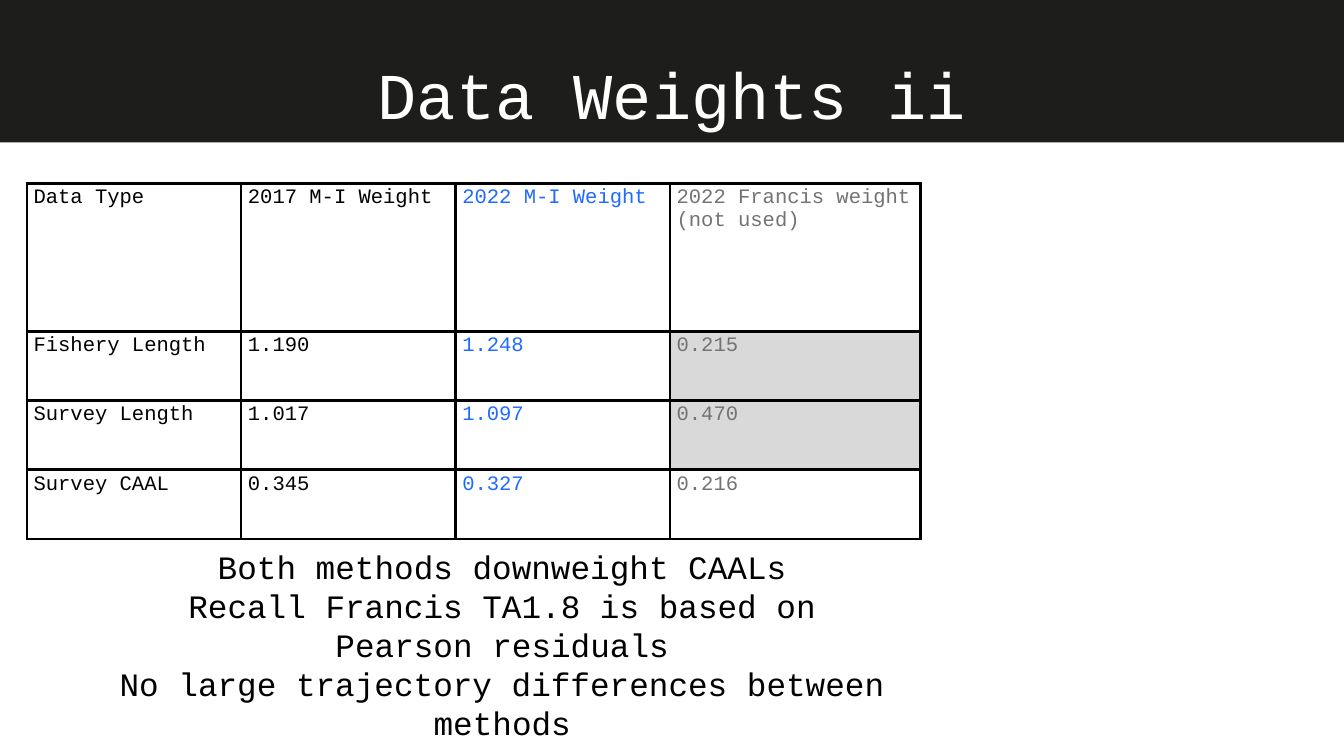
import pptx
import pptx.dml.color
import pptx.enum.shapes
import pptx.enum.text
import pptx.oxml
import pptx.oxml.ns
import pptx.util
from dataclasses import dataclass

PX = 9144  # EMU per px, 100 px to the inch


@dataclass(frozen=True)
class Theme:
    font: str = "Courier New"
    band: str = "1D1D1B"
    white: str = "FFFFFF"
    ink: str = "000000"
    blue: str = "1F6AFF"
    gray: str = "737373"
    shade: str = "D9D9D9"
    title: int = 70
    body: int = 35
    cell: int = 22
    rule: int = 3


THEME = Theme()

ROWS = [
    ("Data Type", "2017 M-I Weight", "2022 M-I Weight",
     "2022 Francis weight (not used)"),
    ("Fishery Length", "1.190", "1.248", "0.215"),
    ("Survey Length", "1.017", "1.097", "0.470"),
    ("Survey CAAL", "0.345", "0.327", "0.216"),
]
WIDTHS = [319, 319, 319, 373]
HEIGHTS = [220, 103, 103, 103]
INKS = [THEME.ink, THEME.ink, THEME.blue, THEME.gray]
SHADED = {(1, 3), (2, 3)}
NOTES = [
    "Both methods downweight CAALs",
    "Recall Francis TA1.8 is based on Pearson residuals",
    "No large trajectory differences between methods",
]


def scale(*sizes):
    return [pptx.util.Emu(size * PX) for size in sizes]


def color(code):
    return pptx.dml.color.RGBColor.from_string(code)


def set_font(para, size, ink):
    para.font.name = THEME.font
    para.font.size = pptx.util.Pt(size)
    para.font.color.rgb = color(ink)


def add_band(slide, box):
    kind = pptx.enum.shapes.MSO_SHAPE.RECTANGLE
    band = slide.shapes.add_shape(kind, *scale(*box))
    band.shadow.inherit = False
    band.fill.solid()
    band.fill.fore_color.rgb = color(THEME.band)
    band.line.fill.background()


def add_text(slide, box, lines, size, lead, ink):
    frame = slide.shapes.add_textbox(*scale(*box)).text_frame
    frame.word_wrap = True
    frame.auto_size = pptx.enum.text.MSO_AUTO_SIZE.SHAPE_TO_FIT_TEXT
    frame.margin_left = frame.margin_right = 0
    frame.margin_top = frame.margin_bottom = 0
    frame.text = "\n".join(lines)
    for para in frame.paragraphs:
        para.alignment = pptx.enum.text.PP_ALIGN.CENTER
        para.line_spacing = pptx.util.Pt(lead)
        set_font(para, size, ink)


def add_rules(cell):
    # Borders must come before the fill in the cell properties
    props = cell._tc.get_or_add_tcPr()
    for spot, side in enumerate(("lnL", "lnR", "lnT", "lnB")):
        props.insert(spot, pptx.oxml.parse_xml(
            f'<a:{side} {pptx.oxml.ns.nsdecls("a")} '
            f'w="{pptx.util.Pt(THEME.rule)}"><a:solidFill>'
            f'<a:srgbClr val="{THEME.ink}"/></a:solidFill></a:{side}>'))


def add_grid(slide, left, top):
    box = scale(left, top, sum(WIDTHS), sum(HEIGHTS))
    grid = slide.shapes.add_table(len(ROWS), len(WIDTHS), *box).table
    grid.first_row = grid.horz_banding = False
    for col, width in zip(grid.columns, scale(*WIDTHS)):
        col.width = width
    for row, height in zip(grid.rows, scale(*HEIGHTS)):
        row.height = height
    for r, words in enumerate(ROWS):
        for c, word in enumerate(words):
            cell = grid.cell(r, c)
            cell.text = word
            set_font(cell.text_frame.paragraphs[0], THEME.cell, INKS[c])
            if (r, c) in SHADED:
                cell.fill.solid()
                cell.fill.fore_color.rgb = color(THEME.shade)
            else:
                cell.fill.background()
            add_rules(cell)


def main():
    deck = pptx.Presentation()
    deck.slide_width, deck.slide_height = scale(2000, 1125)
    slide = deck.slides.add_slide(deck.slide_layouts[6])

    # Header band, weights table, title and remarks
    add_band(slide, (0, 0, 2000, 212))
    add_grid(slide, 40, 273)
    add_text(slide, (176, 90, 1647, 121), ["Data Weights ii"],
             THEME.title, 77, THEME.white)
    add_text(slide, (176, 813, 1143, 182), NOTES,
             THEME.body, 42, THEME.ink)

    deck.save("out.pptx")


if __name__ == "__main__":
    main()
